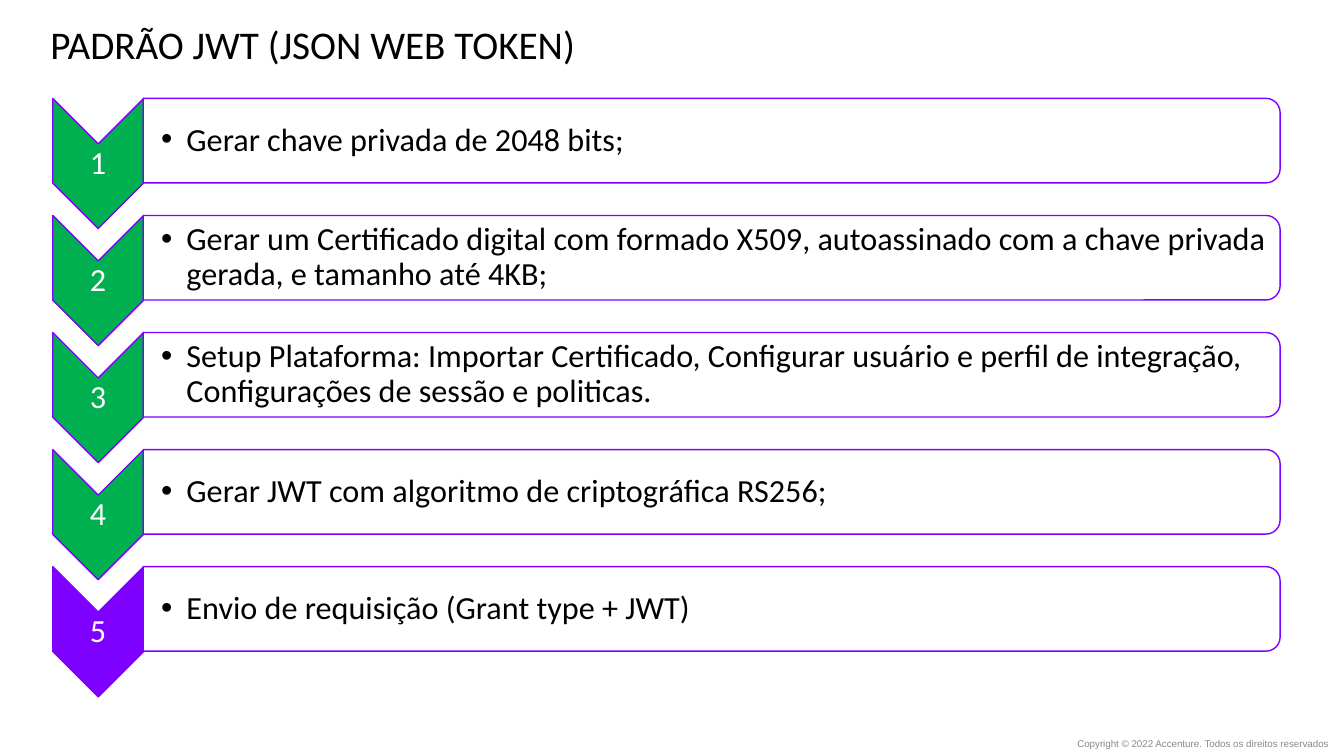
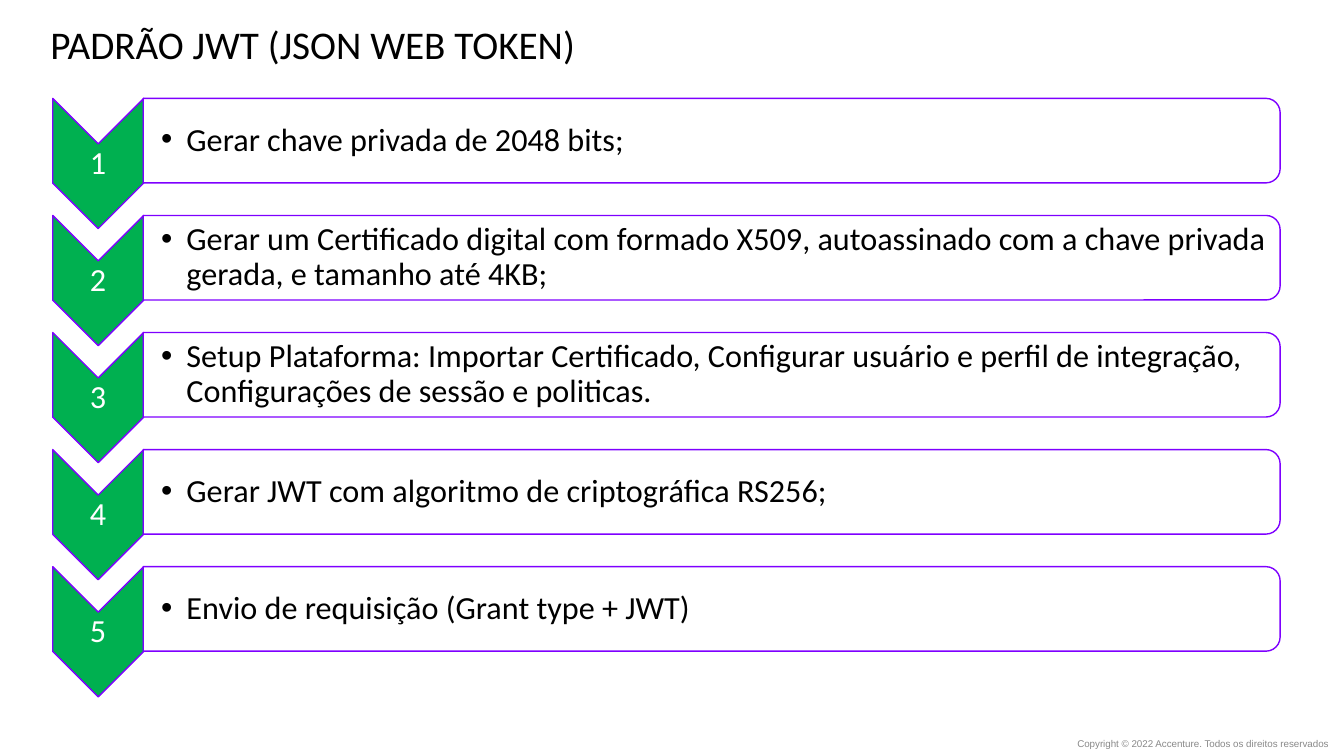
from lxml.etree import SubElement
from pptx import Presentation
from pptx.dml.color import RGBColor
from pptx.enum.shapes import MSO_SHAPE as SHAPE
from pptx.enum.text import MSO_ANCHOR as ANCHOR, PP_ALIGN as ALIGN
from pptx.oxml.ns import qn
from pptx.util import Cm, Pt

COLORS = {
    "black": "000000",
    "white": "FFFFFF",
    "gray": "898989",
    "green": "00B050",
    "purple": "7E00FF",
}

TITLE = "PADRÃO JWT (JSON WEB TOKEN)"
FOOTER = "Copyright © 2022 Accenture. Todos os direitos reservados"
STEPS = [
    "Gerar chave privada de 2048 bits;",
    "Gerar um Certificado digital com formado X509, autoassinado com a chave "
    "privada gerada, e tamanho até 4KB;",
    "Setup Plataforma: Importar Certificado, Configurar usuário e perfil de "
    "integração, Configurações de sessão e politicas.",
    "Gerar JWT com algoritmo de criptográfica RS256;",
    "Envio de requisição (Grant type + JWT)",
]

# Step list geometry, in cm
TOP, PITCH = 2.48, 2.95
ARROW_LEFT, ARROW_W, ARROW_H = 1.33, 2.29, 3.28
BAR_LEFT, BAR_W, BAR_H = 3.61, 28.65, 2.13


def rgb(name):
    return RGBColor.from_string(COLORS[name])


def add_text(s, box, text, size, color="black", font="Calibri",
             align=ALIGN.LEFT, anchor=ANCHOR.MIDDLE, spacing=0.9,
             insets=(0.05, 0.05, 0.05, 0.05), bullet=False):
    tf = s.shapes.add_textbox(*map(Cm, box)).text_frame
    tf.word_wrap = True
    tf.vertical_anchor = anchor
    tf.margin_left, tf.margin_top, tf.margin_right, tf.margin_bottom = map(Cm, insets)
    tf.text = text
    p = tf.paragraphs[0]
    p.alignment, p.line_spacing = align, spacing
    if bullet:
        add_bullet(p)
    f = p.runs[0].font
    f.name, f.size, f.color.rgb = font, Pt(size), rgb(color)


def add_bullet(p, indent=0.64):
    pPr = p._p.get_or_add_pPr()
    pPr.set("marL", str(Cm(indent)))
    pPr.set("indent", str(-Cm(indent)))
    SubElement(pPr, qn("a:buFont"), typeface="Arial")
    SubElement(pPr, qn("a:buChar"), char="•")


def add_turned(s, kind, left, top, width, height, fill):
    """Add a shape turned by 90 degrees that covers the given area."""
    shift = (width - height) / 2
    sp = s.shapes.add_shape(kind, Cm(left + shift), Cm(top - shift),
                            Cm(height), Cm(width))
    sp.rotation = 90
    sp.shadow.inherit = False
    sp.fill.solid()
    sp.fill.fore_color.rgb = rgb(fill)
    sp.line.color.rgb = rgb("purple")
    sp.line.width = Pt(1)


def add_step(s, number, text, fill):
    top = TOP + (number - 1) * PITCH
    # Numbered arrow
    add_turned(s, SHAPE.CHEVRON, ARROW_LEFT, top, ARROW_W, ARROW_H, fill)
    add_text(s, (ARROW_LEFT, top + 1.15, ARROW_W, 1), str(number), 23, "white",
             align=ALIGN.CENTER)
    # Description bar
    add_turned(s, SHAPE.ROUND_2_SAME_RECTANGLE, BAR_LEFT, top, BAR_W, BAR_H, "white")
    add_text(s, (BAR_LEFT, top + 0.11, BAR_W - 0.1, BAR_H - 0.22), text, 23,
             insets=(0.45, 0.05, 0.05, 0.05), bullet=True)


def add_steps_slide(prs, last_fill):
    s = prs.slides.add_slide(prs.slide_layouts[6])
    # Footer and title
    add_text(s, (22.05, 18.54, 11.43, 0.38), FOOTER, 7, "gray", "Arial",
             align=ALIGN.RIGHT, spacing=1, insets=(0, 0, 0, 0))
    add_text(s, (1.02, 0.56, 32.03, 2.97), TITLE, 28, anchor=ANCHOR.TOP,
             spacing=0.85, insets=(0.25, 0.13, 0.25, 0.13))
    # Steps
    for number, text in enumerate(STEPS, 1):
        add_step(s, number, text, last_fill if number == len(STEPS) else "green")


def main():
    prs = Presentation()
    prs.slide_width, prs.slide_height = Cm(33.87), Cm(19.05)
    for last_fill in ("purple", "green"):
        add_steps_slide(prs, last_fill)
    prs.save("out.pptx")


if __name__ == "__main__":
    main()
